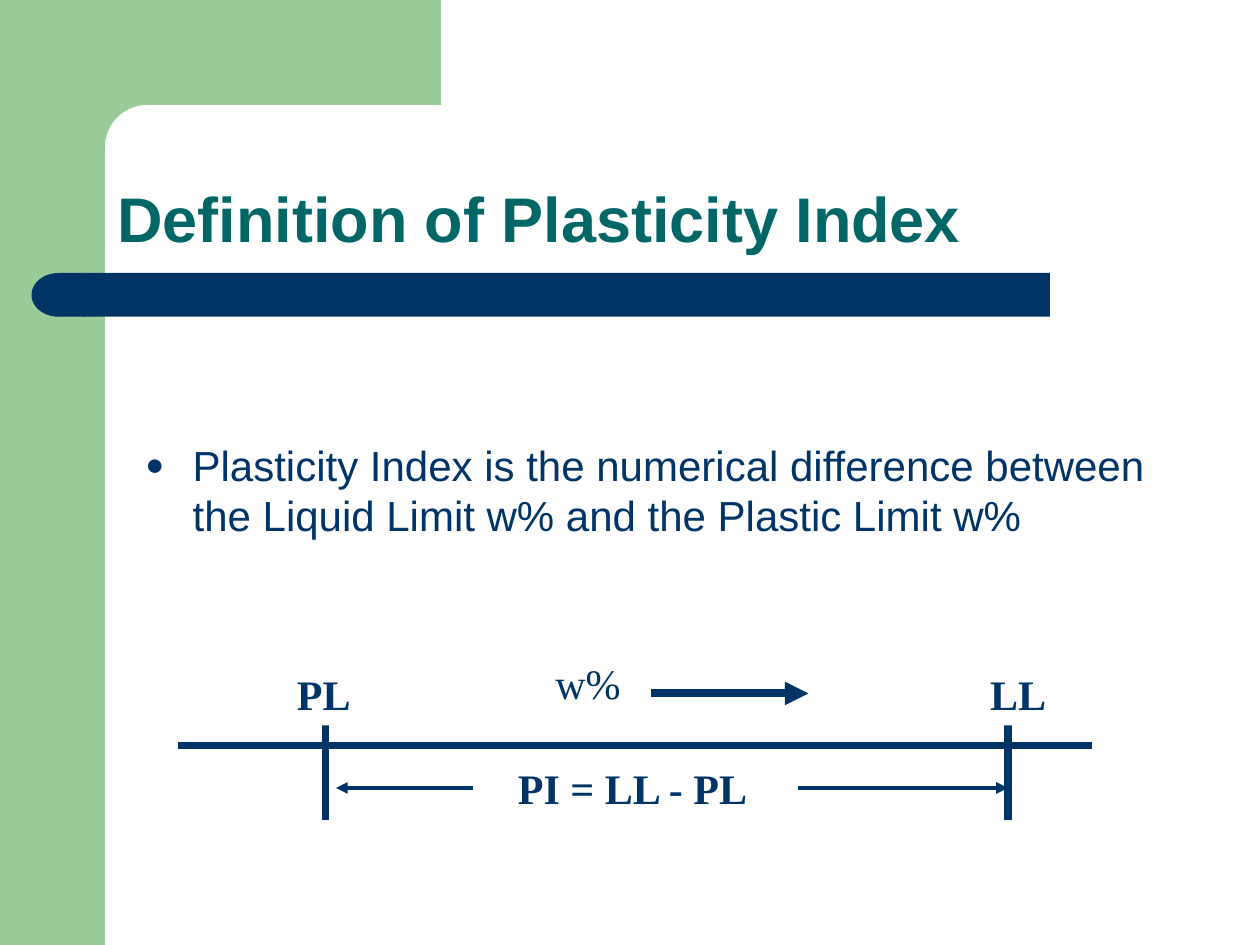
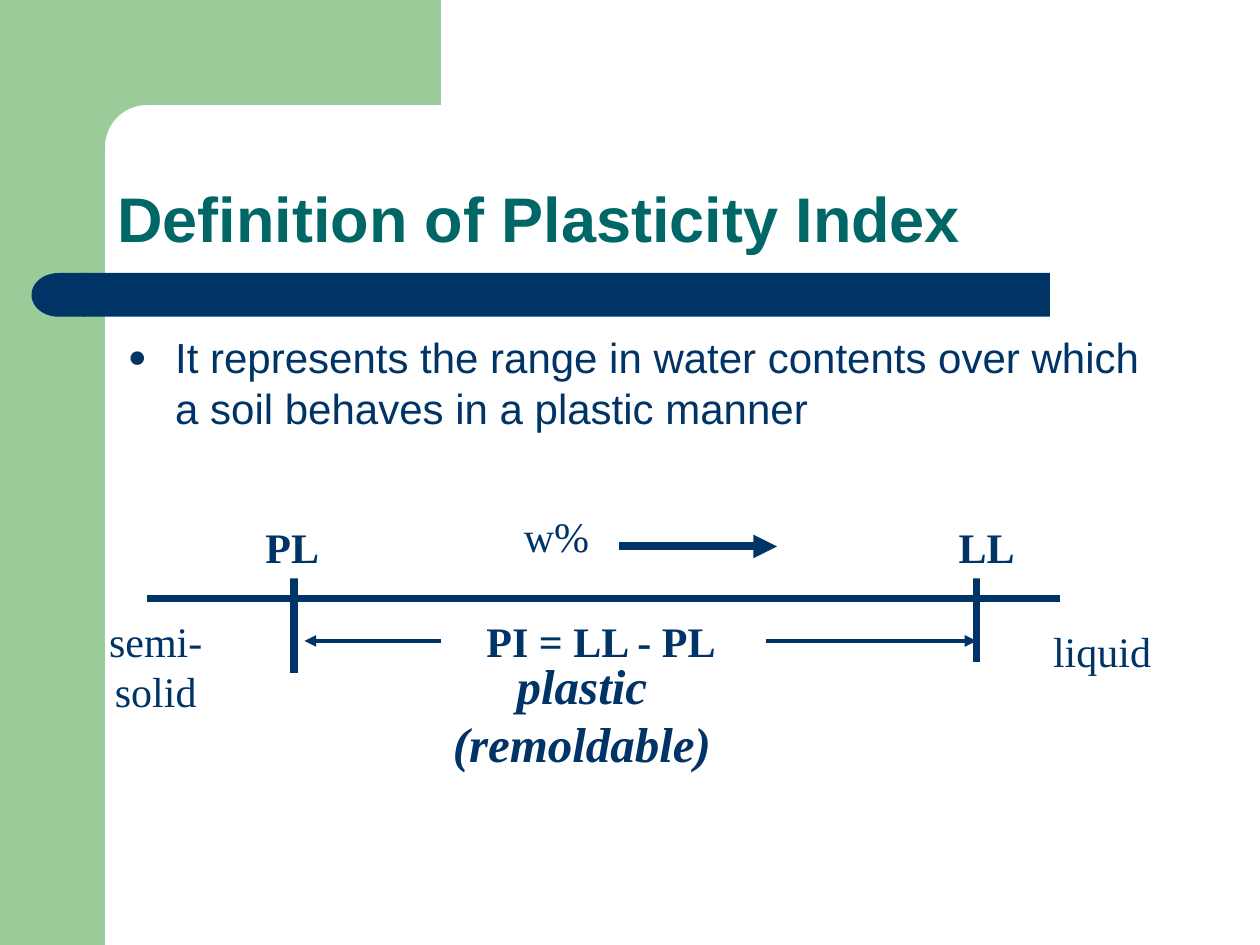
from dataclasses import dataclass
from math import cos, pi, sin

from lxml import etree
from pptx import Presentation
from pptx.dml.color import RGBColor
from pptx.enum.shapes import MSO_CONNECTOR, MSO_SHAPE
from pptx.enum.text import MSO_ANCHOR, PP_ALIGN
from pptx.oxml.ns import qn
from pptx.util import Pt

RECTANGLE, DELAY = MSO_SHAPE.RECTANGLE, MSO_SHAPE.FLOWCHART_DELAY
STRAIGHT = MSO_CONNECTOR.STRAIGHT
TOP, MIDDLE, BOTTOM = MSO_ANCHOR.TOP, MSO_ANCHOR.MIDDLE, MSO_ANCHOR.BOTTOM
LEFT, CENTER = PP_ALIGN.LEFT, PP_ALIGN.CENTER


@dataclass(frozen=True)
class Theme:
    green: str = "99CC99"
    teal: str = "006666"
    navy: str = "003366"
    white: str = "FFFFFF"
    sans: str = "Arial"
    serif: str = "Times New Roman"
    title_size: int = 36
    emphasis_size: int = 28
    text_size: int = 24
    thick: float = 4.5
    thin: float = 2.25


THEME = Theme()

# Content: boxes are left, top, width, height in points
TITLE = "Definition of Plasticity Index"
SLIDES = [
    {
        "bullet": "Plasticity Index is the numerical difference between "
                  "the Liquid Limit w% and the Plastic Limit w%",
        "bullet_box": (76, 247.5, 605.5, 78.5),
        "axis_start": (102, 426),
        "liquid_tick_end": 42.5,
        "states": [],
    },
    {
        "bullet": "It represents the range in water contents over which "
                  "a soil behaves in a plastic manner",
        "bullet_box": (66, 186, 605.5, 114.5),
        "axis_start": (84, 342),
        "liquid_tick_end": 36,
        "states": [
            ("liquid", (510.5, 12, 70.5, 36), {}),
            ("semi-solid", (-30, 6, 70, 65), {"wrap": True}),
            ("plastic (remoldable)", (127, 45.5, 243, 41),
             {"size": THEME.emphasis_size, "bold": True, "italic": True}),
        ],
    },
]

# Diagram geometry, measured from the left end of the water content axis
AXIS_LENGTH, PLASTIC_X, LIQUID_X = 522, 84, 474
RANGE_Y, CONTENT_Y = 24.25, -29.75
LIMIT_FORMAT = {"bold": True, "fill": THEME.white}
LABELS = [
    ("w%", (208, -54, 52, 36), {}),
    ("LL", (456.5, -47.5, 46.5, 36), LIMIT_FORMAT),
    ("PL", (60.5, -47.5, 45, 36), LIMIT_FORMAT),
    ("PI = LL - PL", (186, 6.25, 147, 36), LIMIT_FORMAT),
]


def paint(shape, color):
    shape.shadow.inherit = False
    shape.fill.solid()
    shape.fill.fore_color.rgb = RGBColor.from_string(color)
    shape.line.fill.background()


def add_block(page, kind, box, color):
    shape = page.shapes.add_shape(kind, *map(Pt, box))
    paint(shape, color)
    return shape


def add_text(page, text, box, *, font=THEME.serif, size=THEME.text_size,
             color=THEME.navy, bold=False, italic=False, fill=None,
             align=CENTER, anchor=MIDDLE, wrap=False, spacing=None, bullet=False):
    if fill:
        holder = add_block(page, RECTANGLE, box, fill)
    else:
        holder = page.shapes.add_textbox(*map(Pt, box))
    frame = holder.text_frame
    frame.word_wrap = wrap
    frame.vertical_anchor = anchor
    para = frame.paragraphs[0]
    para.alignment = align
    if spacing:
        para.line_spacing = spacing
    if bullet:
        add_bullet(para)
    span = para.add_run()
    span.text = text
    span.font.name, span.font.size = font, Pt(size)
    span.font.bold, span.font.italic = bold, italic
    span.font.color.rgb = RGBColor.from_string(color)


def add_bullet(para):
    settings = para._p.get_or_add_pPr()
    settings.set("marL", str(Pt(27)))
    settings.set("indent", str(-Pt(27)))
    color = etree.SubElement(settings, qn("a:buClr"))
    etree.SubElement(color, qn("a:srgbClr"), val=THEME.navy)
    etree.SubElement(settings, qn("a:buSzPct"), val="75000")
    etree.SubElement(settings, qn("a:buFont"), typeface=THEME.sans)
    etree.SubElement(settings, qn("a:buChar"), char="●")


def add_line(page, start, end, width, arrow=False):
    line = page.shapes.add_connector(STRAIGHT, *map(Pt, (*start, *end)))
    line.line.color.rgb = RGBColor.from_string(THEME.navy)
    line.line.width = Pt(width)
    if arrow:
        etree.SubElement(line.line._get_or_add_ln(), qn("a:tailEnd"), type="triangle")
    etree.SubElement(line._element.spPr, qn("a:effectLst"))


def add_frame(page):
    # Green side band and top corner with a rounded inner edge
    add_block(page, RECTANGLE, (0, 0, 60, 540), THEME.green)
    edge, radius, steps = 60, 24, 12
    center = edge + radius
    angles = [pi / 2 * step / steps for step in range(steps + 1)]
    curve = [(center - radius * sin(a), center - radius * cos(a)) for a in angles]
    outline = [(252, 0), (252, edge), *curve, (edge, 92), (36, 92), (36, 0)]
    points = [(Pt(x), Pt(y)) for x, y in outline]
    builder = page.shapes.build_freeform(*points[0])
    builder.add_line_segments(points[1:], close=True)
    paint(builder.convert_to_shape(), THEME.green)

    # Navy bar with a rounded left end
    add_block(page, RECTANGLE, (48, 156, 552, 25), THEME.navy)
    add_block(page, DELAY, (18, 156, 31, 25), THEME.navy).rotation = 180

    add_text(page, TITLE, (60, 60, 624, 90), font=THEME.sans, size=THEME.title_size,
             color=THEME.teal, bold=True, align=LEFT, anchor=BOTTOM, wrap=True,
             spacing=0.9)


def add_diagram(page, origin, liquid_tick_end, states):
    left, top = origin
    lines = [
        ((0, 0), (AXIS_LENGTH, 0), THEME.thick, False),
        ((LIQUID_X, CONTENT_Y), (LIQUID_X, liquid_tick_end), THEME.thick, False),
        ((PLASTIC_X, -36), (PLASTIC_X, 42.5), THEME.thick, False),
        ((270, CONTENT_Y), (360, CONTENT_Y), THEME.thick, True),
        ((354, RANGE_Y), (LIQUID_X, RANGE_Y), THEME.thin, True),
        ((168, RANGE_Y), (PLASTIC_X + 6, RANGE_Y), THEME.thin, True),
    ]
    for (x1, y1), (x2, y2), width, arrow in lines:
        add_line(page, (left + x1, top + y1), (left + x2, top + y2), width, arrow)
    for text, (x, y, width, height), style in LABELS + states:
        add_text(page, text, (left + x, top + y, width, height), **style)


def main():
    deck = Presentation()
    deck.slide_width, deck.slide_height = Pt(720), Pt(540)
    for content in SLIDES:
        page = deck.slides.add_slide(deck.slide_layouts[6])
        add_frame(page)
        add_text(page, content["bullet"], content["bullet_box"], font=THEME.sans,
                 align=LEFT, anchor=TOP, wrap=True, bullet=True)
        add_diagram(page, content["axis_start"], content["liquid_tick_end"],
                    content["states"])
    deck.save("out.pptx")


if __name__ == "__main__":
    main()
